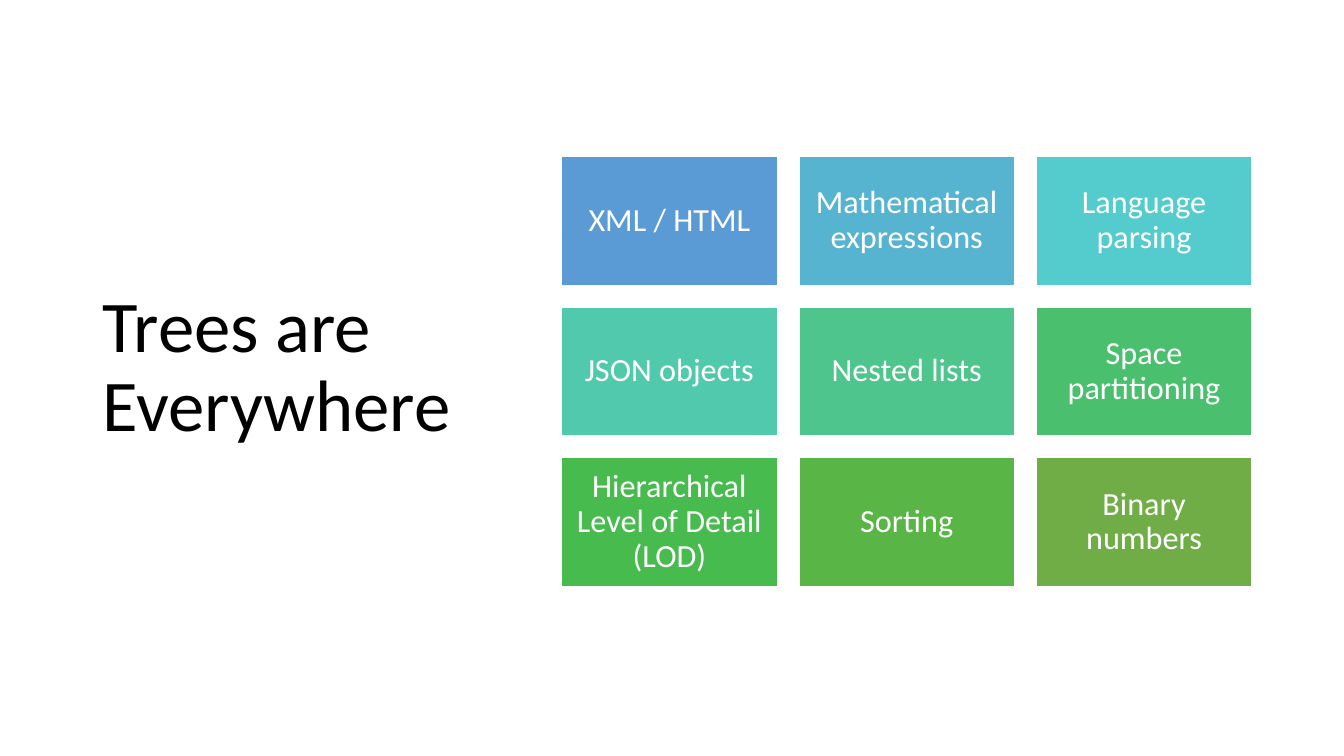
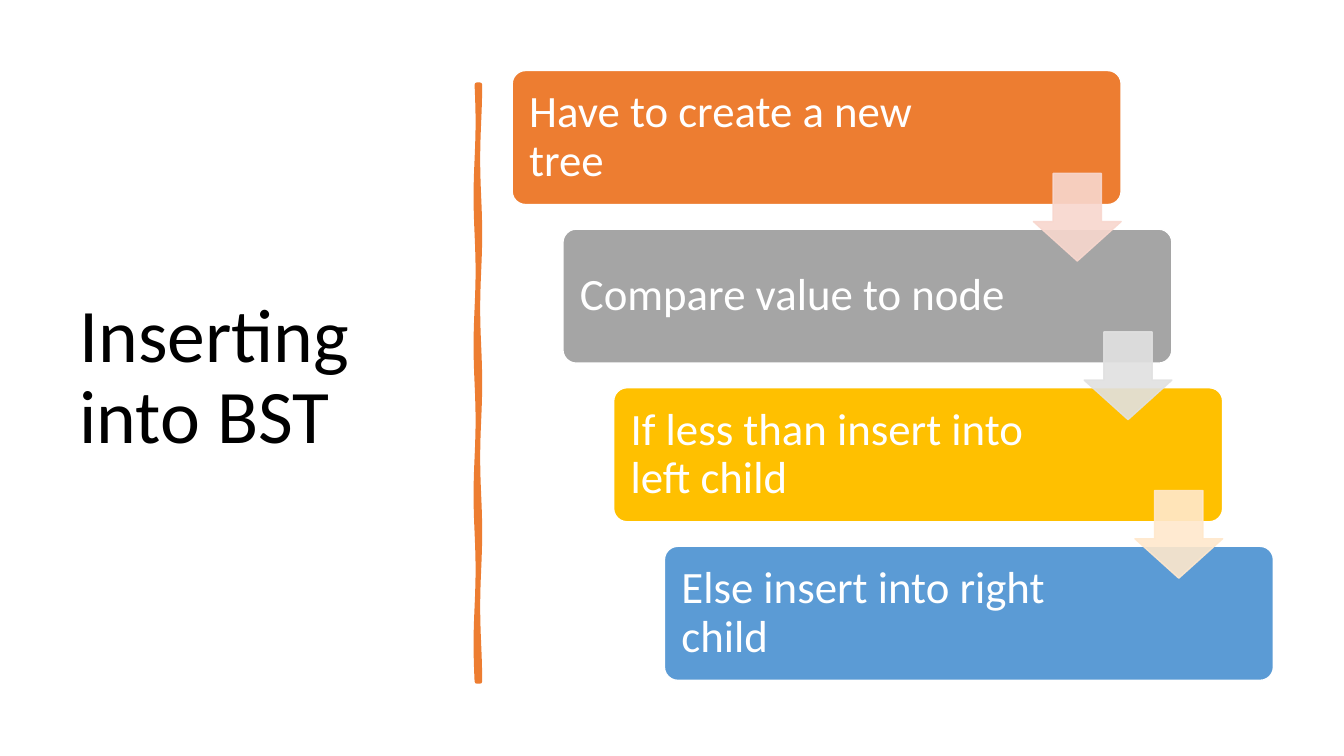
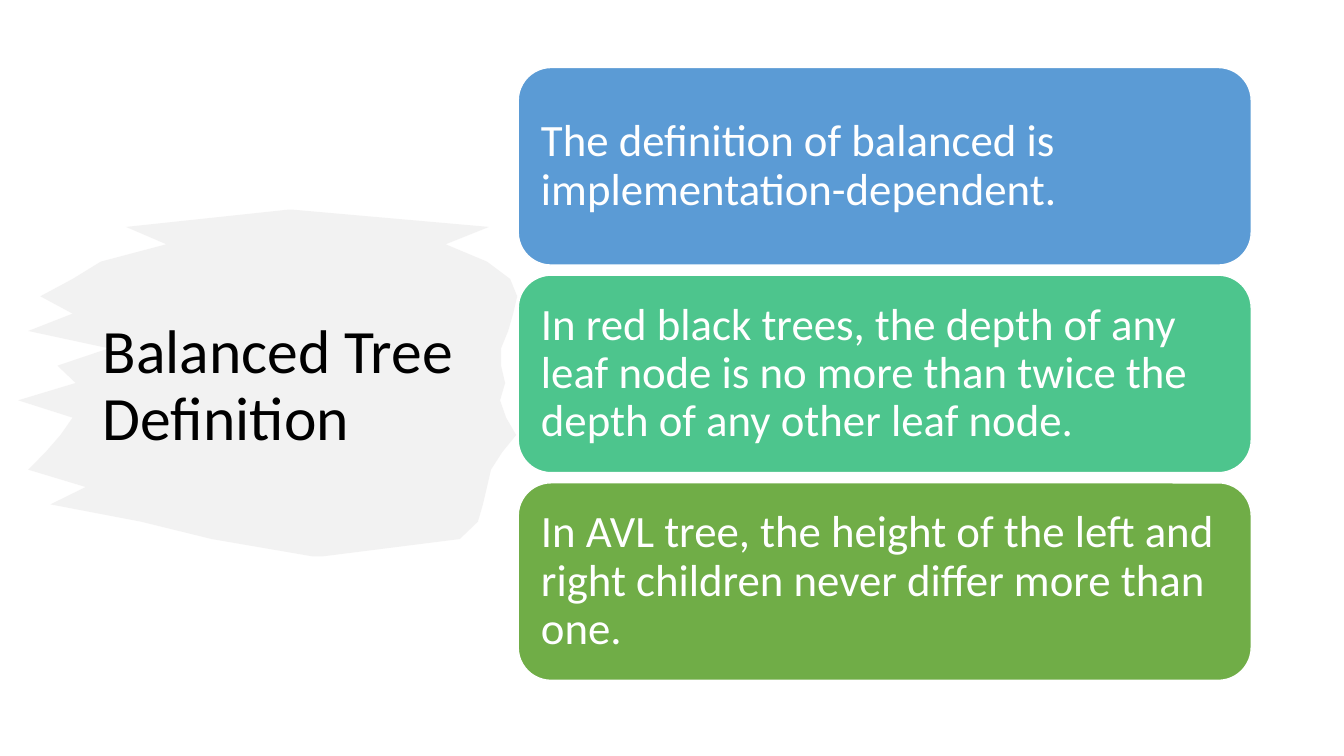
import math

from lxml import etree
from pptx import Presentation, util as u
from pptx.dml.color import RGBColor
from pptx.enum import shapes, text
from pptx.oxml.ns import qn

FONT = "Calibri"
BLACK, WHITE = "000000", "FFFFFF"
BLUE, MINT, GREEN = "5B9BD5", "4DC58D", "70AD47"
ORANGE, GREY, GOLD = "ED7D31", "A5A5A5", "FFC000"
BRUSH_GREY = "E7E6E6"
SHAPE, ALIGN = shapes.MSO_SHAPE, text.PP_ALIGN

USES = [
    ("XML / HTML", BLUE), ("Mathematical expressions", "57B4D1"),
    ("Language parsing", "54CCCD"), ("JSON objects", "51C9AD"),
    ("Nested lists", MINT), ("Space partitioning", "4AC06E"),
    ("Hierarchical Level of Detail (LOD)", "48BB4F"), ("Sorting", "59B546"),
    ("Binary numbers", GREEN),
]
STEPS = [
    ("Have to create a new tree", ORANGE),
    ("Compare value to node", GREY),
    ("If less than insert into left child", GOLD),
    ("Else insert into right child", BLUE),
]
ARROW_COLOURS = ["F8D7CE", "E1E1E1", "FFE8CC"]
DEFINITIONS = [
    ("The definition of balanced is implementation-dependent.", BLUE),
    ("In red black trees, the depth of any leaf node is no more than twice "
     "the depth of any other leaf node.", MINT),
    ("In AVL tree, the height of the left and right children never differ "
     "more than one.", GREEN),
]
# Left and right ends of the brush stroke, in equal rows from top to bottom
BRUSH_ROWS = [
    (2.86, 2.9), (1.25, 4.85), (1.65, 4.42), (1.0, 4.83), (0.72, 5.06),
    (0.4, 5.13), (0.72, 5.09), (0.28, 5.04), (1.08, 4.97), (0.57, 4.97),
    (0.75, 5.01), (0.18, 4.96), (0.72, 5.02), (0.6, 5.12), (0.45, 4.98),
    (0.28, 4.87), (0.85, 4.83), (0.5, 4.79), (1.4, 4.74), (2.1, 4.56),
    (3.1, 3.2),
]


def rgb(hex_colour):
    return RGBColor.from_string(hex_colour)


def paint(sp, fill, line=None, width=1, alpha=None):
    """Fill and outline a shape; alpha is its opacity in percent."""
    sp.shadow.inherit = False
    sp.fill.solid()
    sp.fill.fore_color.rgb = rgb(fill)
    if line:
        sp.line.color.rgb = rgb(line)
        sp.line.width = u.Pt(width)
    else:
        sp.line.fill.background()
    if alpha:
        for clr in sp._element.spPr.iter(qn("a:srgbClr")):
            etree.SubElement(clr, qn("a:alpha"), val=str(alpha * 1000))


def write(sp, words, size, colour, align=ALIGN.LEFT):
    tf = sp.text_frame
    tf.word_wrap = True
    tf.vertical_anchor = text.MSO_ANCHOR.MIDDLE
    p = tf.paragraphs[0]
    p.text = words
    p.alignment = align
    p.line_spacing = 0.9
    p.font.name = FONT
    p.font.size = u.Pt(size)
    p.font.color.rgb = rgb(colour)


def add_title(s, words, size, x, y, w, h):
    write(s.shapes.add_textbox(*map(u.Inches, (x, y, w, h))), words, size, BLACK)


def add_box(s, kind, x, y, w, h, fill, line=WHITE, alpha=None):
    sp = s.shapes.add_shape(kind, *map(u.Inches, (x, y, w, h)))
    paint(sp, fill, line, alpha=alpha)
    return sp


def add_label(sp, words, size, inset, right=None, align=ALIGN.LEFT):
    """Write white text in a box; right replaces the inset on that side."""
    tf = sp.text_frame
    tf.margin_left = tf.margin_top = tf.margin_bottom = u.Inches(inset)
    tf.margin_right = u.Inches(right or inset)
    write(sp, words, size, WHITE, align)


def add_strip(s, rows, top, height):
    """Close an outline around (left, right) rows spaced evenly down a height."""
    pitch = height / (len(rows) - 1)
    left_edge = [(left, top + i * pitch) for i, (left, _) in enumerate(rows)]
    right_edge = [(right, top + i * pitch) for i, (_, right) in enumerate(rows)]
    points = [(u.Inches(x), u.Inches(y))
              for x, y in left_edge + right_edge[::-1]]
    builder = s.shapes.build_freeform(*points[0])
    builder.add_line_segments(points[1:], close=True)
    return builder.convert_to_shape()


def add_wavy_divider(s, centre, top, height):
    """Draw a hand-drawn rule whose two sides sway out of step."""
    half_width, sway, waves, count = 0.01, 0.01, 4, 48
    rows = []
    for i in range(count + 1):
        angle = 2 * math.pi * waves * i / count
        rows.append((centre - half_width + sway * math.sin(angle),
                     centre + half_width + sway * math.cos(angle)))
    paint(add_strip(s, rows, top, height), ORANGE, ORANGE, 3.25)


def uses_slide(s):
    add_title(s, "Trees are Everywhere", 52, 0.92, 0.61, 3.69, 6.09)
    columns, left, top, w, h = 3, 5.57, 1.55, 2.14, 1.28
    gap = w / 10
    for i, (words, fill) in enumerate(USES):
        row, col = divmod(i, columns)
        sp = add_box(s, SHAPE.RECTANGLE, left + col * (w + gap),
                     top + row * (h + gap), w, h, fill)
        add_label(sp, words, 23, 0.1, align=ALIGN.CENTER)


def steps_slide(s):
    add_title(s, "Inserting into BST", 54, 0.69, 0.7, 3.74, 6.11)
    add_wavy_divider(s, centre=4.74, top=0.84, height=5.92)
    left, top, right, bottom = 5.08, 0.7, 12.63, 6.75
    w, h, arrow, arrow_drop = 6.04, 1.33, 0.87, 1.02
    dx = (right - left - w) / (len(STEPS) - 1)
    dy = (bottom - top - h) / (len(STEPS) - 1)
    for i, (words, fill) in enumerate(STEPS):
        sp = add_box(s, SHAPE.ROUNDED_RECTANGLE, left + i * dx, top + i * dy,
                     w, h, fill)
        sp.adjustments[0] = 0.1
        add_label(sp, words, 32, 0.13, right=1.5)
    for i, colour in enumerate(ARROW_COLOURS):
        sp = add_box(s, SHAPE.DOWN_ARROW, left + i * dx + w - arrow,
                     top + i * dy + arrow_drop, arrow, arrow, colour, colour, 90)
        sp.adjustments[0], sp.adjustments[1] = 0.55, 0.45


def definitions_slide(s):
    paint(add_strip(s, BRUSH_ROWS, 2.08, 3.44), BRUSH_GREY, alpha=50)
    add_title(s, "Balanced Tree Definition", 44, 0.92, 1.64, 4.08, 4.4)
    left, top, w, h, gap = 5.14, 0.67, 7.27, 1.96, 0.1
    for i, (words, fill) in enumerate(DEFINITIONS):
        sp = add_box(s, SHAPE.ROUNDED_RECTANGLE, left, top + i * (h + gap),
                     w, h, fill)
        add_label(sp, words, 32, 0.13)


def main():
    prs = Presentation()
    prs.slide_width, prs.slide_height = u.Inches(13.33), u.Inches(7.5)
    for build in (uses_slide, steps_slide, definitions_slide):
        build(prs.slides.add_slide(prs.slide_layouts[6]))
    prs.save("out.pptx")


if __name__ == "__main__":
    main()
